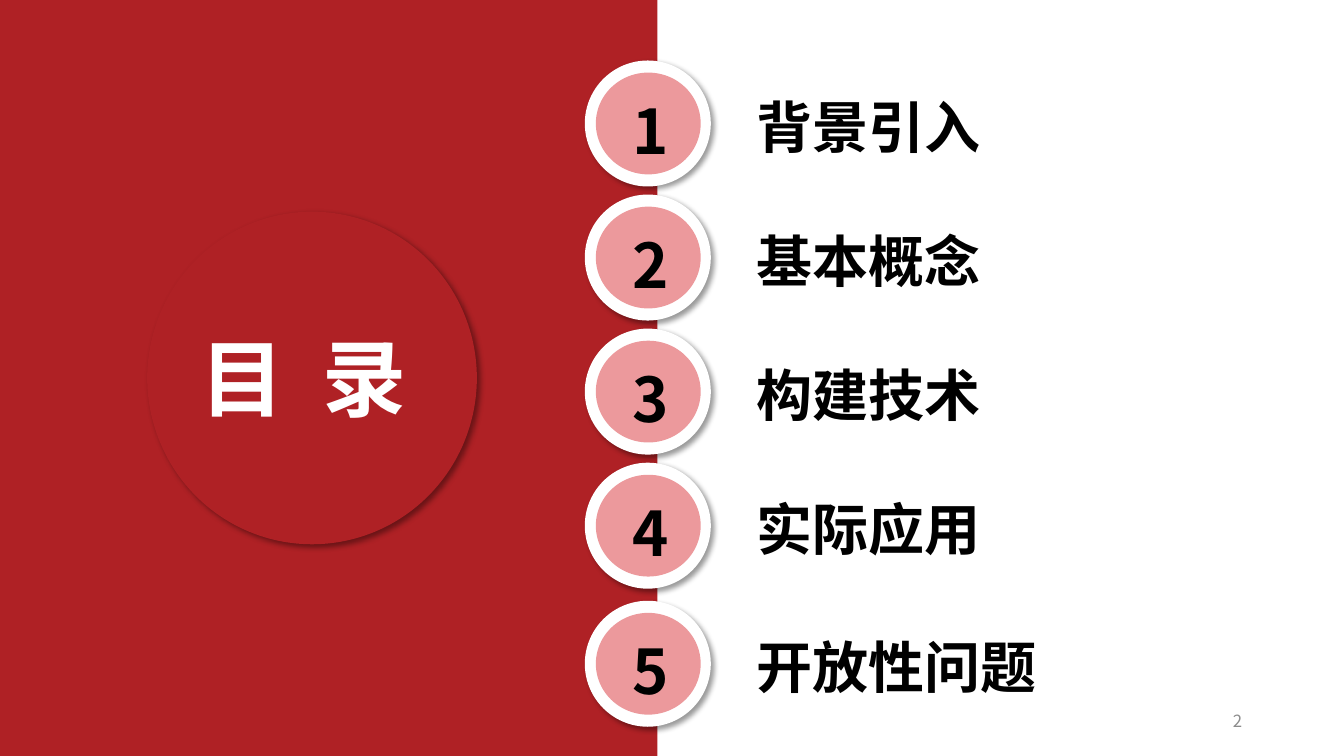
import pptx
import pptx.util
import pptx.dml.color
import pptx.enum.shapes
import pptx.enum.text
import pptx.oxml
import pptx.oxml.ns

Inches = pptx.util.Inches
Align = pptx.enum.text.PP_ALIGN
Anchor = pptx.enum.text.MSO_ANCHOR
Shape = pptx.enum.shapes.MSO_SHAPE

FONT = "Noto Sans CJK SC"
RED, PINK, WHITE, BLACK, GREY = "AF2125", "EC999C", "FFFFFF", "000000", "8C8C8C"
TITLE = "目 录"
TOPICS = ["背景引入", "基本概念", "构建技术", "实际应用", "开放性问题"]
TOPS = [0.6, 1.93, 3.26, 4.59, 5.96]
PAGE_NUMBER = "2"

SHADOW = (
    '<a:effectLst %s><a:outerShdw blurRad="50800" dist="38100" dir="2700000" '
    'algn="tl" rotWithShape="0"><a:srgbClr val="000000"><a:alpha val="40000"/>'
    '</a:srgbClr></a:outerShdw></a:effectLst>' % pptx.oxml.ns.nsdecls("a")
)


def color(value):
    return pptx.dml.color.RGBColor.from_string(value)


def set_all(target, values):
    for name, value in values.items():
        setattr(target, name, value)


def add_solid(shapes, kind, place, fill, shadow=False):
    shape = shapes.add_shape(kind, *map(Inches, place))
    shape.shadow.inherit = False
    shape.fill.solid()
    shape.fill.fore_color.rgb = color(fill)
    shape.line.fill.background()
    if shadow:
        properties = shape._element.spPr
        properties.remove(properties.find(pptx.oxml.ns.qn("a:effectLst")))
        properties.append(pptx.oxml.parse_xml(SHADOW))
    return shape


def write(box, text, size, fill, bold=True, align=Align.LEFT, anchor=Anchor.TOP, wrap=False):
    set_all(box.text_frame, {
        "word_wrap": wrap,
        "auto_size": pptx.enum.text.MSO_AUTO_SIZE.NONE,
        "vertical_anchor": anchor,
    })
    para = box.text_frame.paragraphs[0]
    set_all(para, {"alignment": align, "line_spacing": 1.0})
    span = para.add_run()
    span.text = text
    set_all(span.font, {"name": FONT, "size": pptx.util.Pt(size), "bold": bold})
    span.font.color.rgb = color(fill)
    east_asian = pptx.oxml.parse_xml(
        '<a:ea %s typeface="%s"/>' % (pptx.oxml.ns.nsdecls("a"), FONT))
    span.font._element.find(pptx.oxml.ns.qn("a:latin")).addnext(east_asian)
    return span


def add_text(shapes, place, *args, **options):
    return write(shapes.add_textbox(*map(Inches, place)), *args, **options)


def add_topic(page, number, topic, top):
    group = page.shapes.add_group_shape()
    add_solid(group.shapes, Shape.OVAL, (5.8, top, 1.25, 1.25), WHITE, shadow=True)
    add_solid(group.shapes, Shape.OVAL, (5.91, top + 0.12, 1.04, 1.01), PINK)
    add_text(group.shapes, (6.17, top + 0.27, 0.58, 0.84), str(number), 44, BLACK)
    add_text(group.shapes, (7.41, top + 0.27, 0.2 + 0.56 * len(topic), 0.77), topic, 40, BLACK)


def main():
    deck = pptx.Presentation()
    set_all(deck, {"slide_width": Inches(13.33), "slide_height": Inches(7.5)})
    page = deck.slides.add_slide(deck.slide_layouts[5])

    add_solid(page.shapes, Shape.RECTANGLE, (0, 0, 6.52, 7.5), RED)
    medallion = page.shapes.add_group_shape()
    add_solid(medallion.shapes, Shape.OVAL, (1.46, 2.1, 3.27, 3.3), RED, shadow=True)
    add_solid(medallion.shapes, Shape.OVAL, (1.73, 2.42, 2.71, 2.66), RED)

    title = page.shapes.title
    set_all(title, dict(zip(("left", "top", "width", "height"),
                            map(Inches, (1.89, 3.19, 2.39, 1.11)))))
    span = write(title, TITLE, 60, WHITE)
    span.font._element.set("spc", "670")
    page.shapes._spTree.append(title._element)

    add_text(page.shapes, (9.42, 6.95, 3, 0.4), PAGE_NUMBER, 12, GREY, bold=False,
             align=Align.RIGHT, anchor=Anchor.MIDDLE, wrap=True)
    for number, (topic, top) in enumerate(zip(TOPICS, TOPS), 1):
        add_topic(page, number, topic, top)

    deck.save("out.pptx")


if __name__ == "__main__":
    main()
